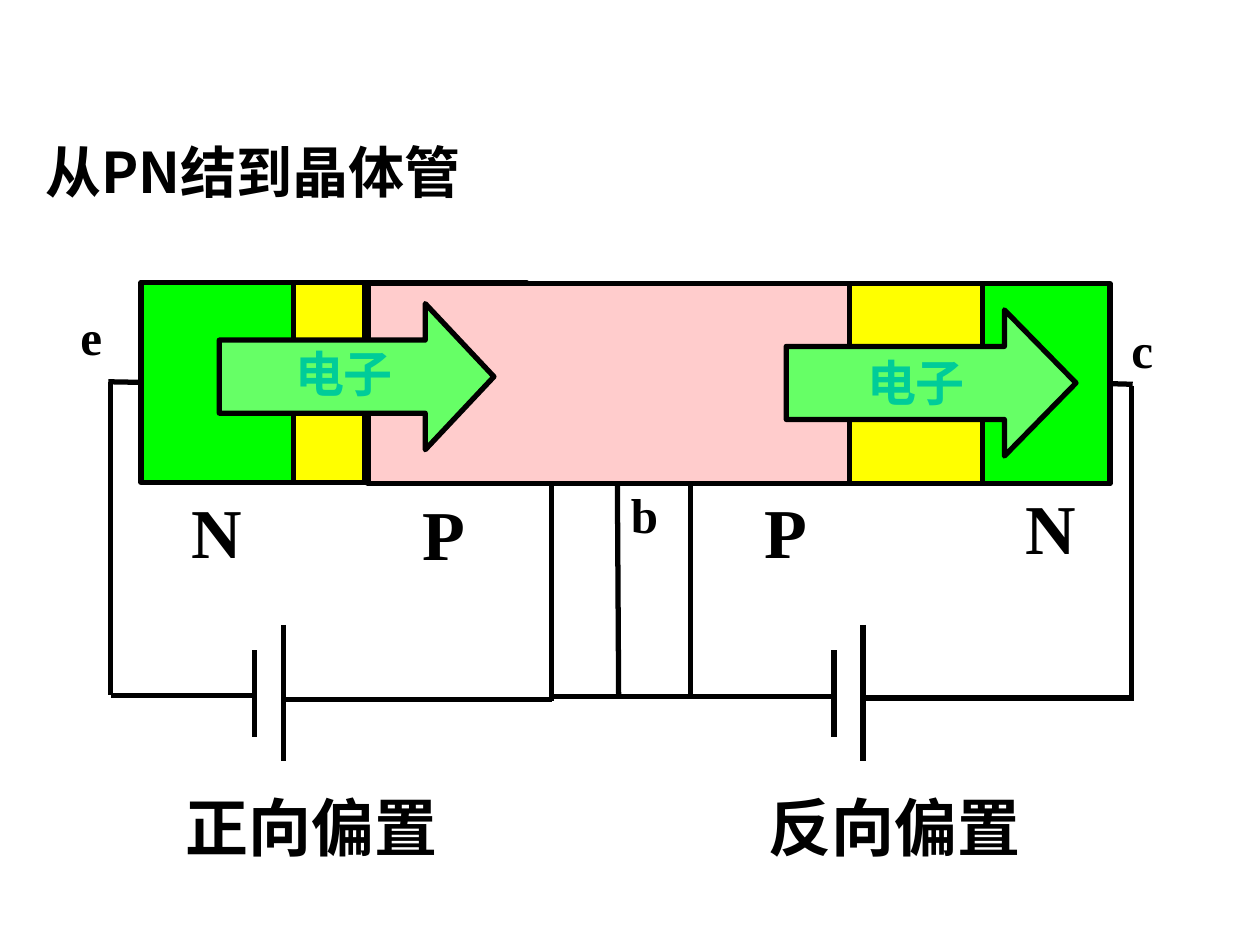
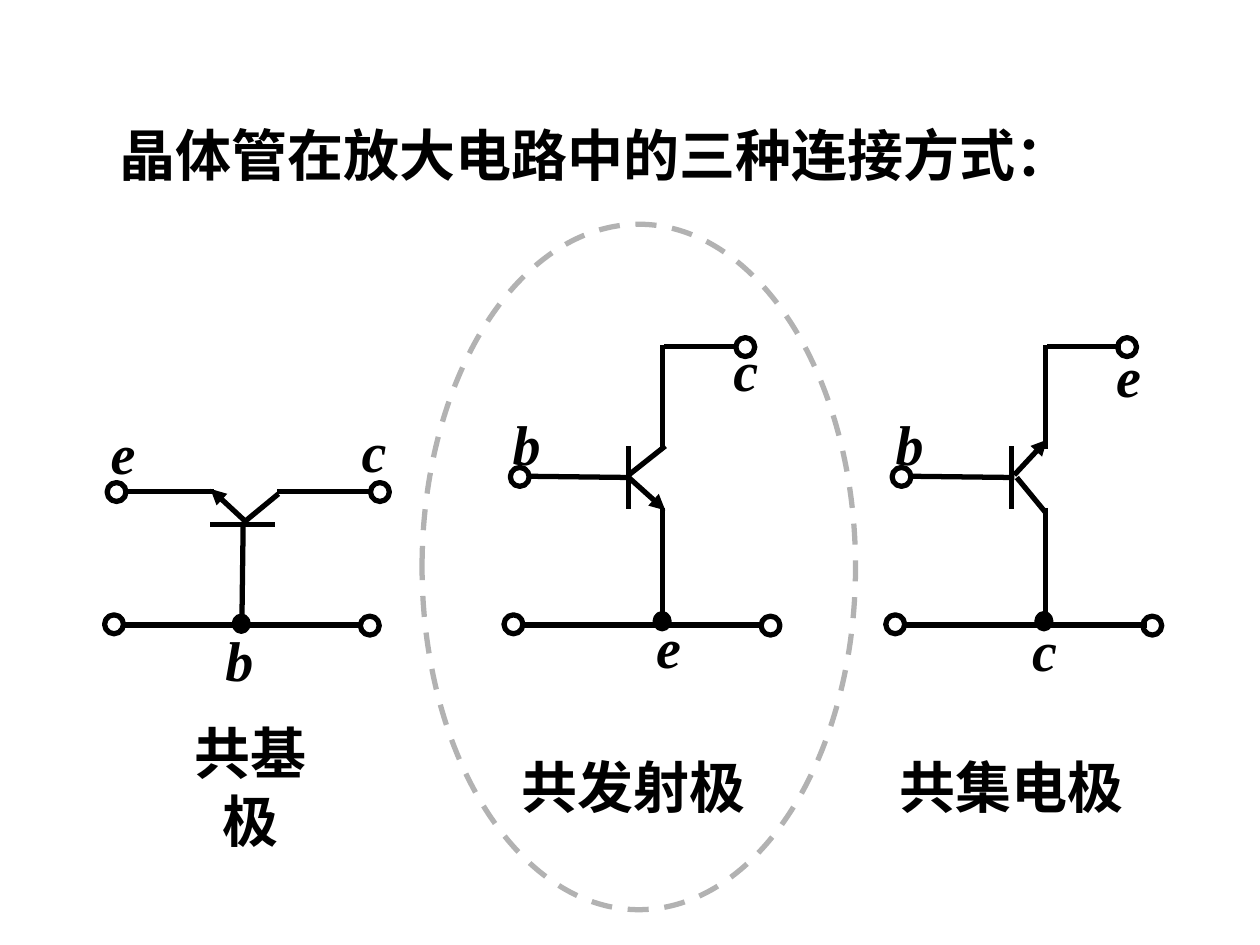
"""Two slides on the transistor: from PN junction to transistor, and its three connections."""
from lxml import etree
from pptx import Presentation
from pptx import util as u
from pptx.dml.color import RGBColor
from pptx.enum import dml, shapes, text
from pptx.oxml import ns

COLORS = {"ink": "000000", "n_region": "00FF00", "depletion": "FFFF00", "p_region": "FFCCCC",
          "flow": "66FF66", "electron": "00CC99", "highlight": "B2B2B2"}
LATIN, HAN = "Times New Roman", "Noto Sans CJK SC"
STROKE = u.Pt(3)
RECT, OVAL, ARROW = (shapes.MSO_SHAPE.RECTANGLE, shapes.MSO_SHAPE.OVAL,
                     shapes.MSO_SHAPE.RIGHT_ARROW)


def add_part(slide, kind, left, top, width, height, fill=None, line="ink"):
    part = slide.shapes.add_shape(kind, *map(u.Inches, (left, top, width, height)))
    part.shadow.inherit = False
    if fill:
        part.fill.solid()
        part.fill.fore_color.rgb = RGBColor.from_string(COLORS[fill])
    else:
        part.fill.background()
    part.line.color.rgb = RGBColor.from_string(COLORS[line])
    part.line.width = STROKE
    return part


def add_wire(slide, x1, y1, x2, y2, arrow=False):
    wire = slide.shapes.add_connector(shapes.MSO_CONNECTOR.STRAIGHT,
                                      *map(u.Inches, (x1, y1, x2, y2)))
    wire.line.color.rgb = RGBColor.from_string(COLORS["ink"])
    wire.line.width = STROKE
    if arrow:
        etree.SubElement(wire.line._get_or_add_ln(), ns.qn("a:tailEnd"), type="triangle")
    etree.SubElement(wire._element.spPr, ns.qn("a:effectLst"))
    return wire


prs = Presentation()
prs.slide_width, prs.slide_height = u.Inches(10), u.Inches(7.5)
junction, connections = [prs.slides.add_slide(prs.slide_layouts[6]) for _ in range(2)]

emitter = add_part(junction, RECT, 1.12, 2.24, 1.23, 1.59, "n_region")
add_part(junction, RECT, 2.33, 2.24, 0.58, 1.59, "depletion")
collector = add_part(junction, RECT, 7.77, 2.25, 1.04, 1.59, "n_region")
add_part(junction, RECT, 6.72, 2.25, 1.08, 1.59, "depletion")
add_part(junction, RECT, 2.89, 2.24, 1.29, 1.59, "p_region")

add_wire(junction, 1.12, 3.03, 0.86, 3.03).begin_connect(emitter, 1)
add_wire(junction, 8.81, 3.05, 8.99, 3.05).begin_connect(collector, 3)
for wire_ends in [(0.88, 3.03, 0.88, 5.52), (0.88, 5.52, 2.03, 5.52),
                  (4.38, 5.55, 2.23, 5.55), (4.38, 3.06, 4.38, 5.56),
                  (8.98, 3.06, 8.98, 5.56), (8.98, 5.54, 6.83, 5.54),
                  (5.49, 5.53, 6.64, 5.53), (5.48, 3.02, 5.48, 5.51),
                  (4.4, 5.53, 5.55, 5.53), (4.9, 3.85, 4.91, 5.52)]:
    add_wire(junction, *wire_ends)
for battery_x in (2.02, 6.62):
    add_wire(junction, battery_x, 5.16, battery_x, 5.85)
    add_wire(junction, battery_x + 0.23, 4.96, battery_x + 0.23, 6.04)

add_part(junction, RECT, 2.92, 2.25, 3.82, 1.59, "p_region")
for left, top, width, head in [(6.24, 2.46, 2.3, 0.49), (1.74, 2.41, 2.18, 0.47)]:
    electron_flow = add_part(junction, ARROW, left, top, width, 1.16, "flow")
    electron_flow.adjustments[1] = head

common_base_wires = [(1.92, 4.95, 1.93, 4.15), (1.67, 4.16, 2.18, 4.16),
                     (2.21, 3.92, 1.93, 4.15), (1, 3.9, 1.7, 3.9),
                     (2.2, 3.9, 2.94, 3.9), (0.98, 4.96, 2.88, 4.96)]
for wire_ends in common_base_wires:
    add_wire(connections, *wire_ends)
add_wire(connections, 1.95, 4.14, 1.67, 3.88, arrow=True)

for dx in (0, 3.04):
    for x1, y1, x2, y2 in [(4.2, 3.78, 5.01, 3.79), (4.99, 3.54, 4.99, 4.04),
                           (5.26, 2.74, 5.26, 3.56), (5.26, 4.03, 5.26, 4.97),
                           (4.15, 4.96, 6.06, 4.96), (5.27, 2.75, 5.86, 2.75)]:
        add_wire(connections, x1 + dx, y1, x2 + dx, y2)
add_wire(connections, 4.99, 3.79, 5.28, 4.05, arrow=True)
add_wire(connections, 4.99, 3.77, 5.28, 3.54)
add_wire(connections, 8.05, 3.77, 8.31, 3.49, arrow=True)
add_wire(connections, 8.07, 3.79, 8.3, 4.07)

terminals = [(0.85, 3.83), (2.94, 3.83), (0.83, 4.88), (2.86, 4.89)]
for dx in (0, 3.03):
    terminals += [(x + dx, y) for x, y in [(4.05, 3.71), (5.84, 2.68), (4, 4.88), (6.04, 4.89)]]
for x, y in terminals:
    add_part(connections, OVAL, x, y, 0.15, 0.15)
for x, y in [(1.86, 4.89), (5.2, 4.87), (8.23, 4.87)]:
    add_part(connections, OVAL, x, y, 0.11, 0.12, "ink")
most_used = add_part(connections, OVAL, 3.35, 1.78, 3.44, 5.44, line="highlight")
most_used.line.dash_style = dml.MSO_LINE.DASH

labels = [(junction, "从PN结到晶体管", 0.26, 1.04, 4.03, 0.64, 32),
          (connections, "晶体管在放大电路中的三种连接方式：", 0.8, 0.91, 7.86, 0.64, 32)]
for words, x, y in [("N", 1.35, 3.83), ("P", 3.15, 3.84), ("P", 5.87, 3.83), ("N", 7.97, 3.8)]:
    labels.append((junction, words, x, y, 0.74, 0.77, 40))
for words, x in [("正向偏置", 1.27), ("反向偏置", 5.89)]:
    labels.append((junction, words, x, 6.21, 2.41, 0.7, 36))
for x, y in [(6.71, 2.75), (2.17, 2.68)]:
    labels.append((junction, "电子", x, y, 1.12, 0.57, 28))
for words, x, y in [("e", 0.39, 2.38), ("b", 4.78, 3.8), ("c", 8.73, 2.49)]:
    labels.append((junction, words, x, y, 0.67, 0.57, 28))
for words, x, width in [("共基极", 1.22, 1.53), ("共发射极", 4.04, 1.98), ("共集电极", 7.04, 1.98)]:
    labels.append((connections, words, x, 5.92, width, 0.64, 32))
electrode_widths = {"b": 0.42, "c": 0.4, "e": 0.32}
for words, x, y in [("b", 1.69, 4.91), ("e", 0.78, 3.27), ("c", 2.77, 3.25),
                    ("b", 3.97, 3.2), ("e", 5.11, 4.81), ("c", 5.72, 2.61),
                    ("b", 7.01, 3.2), ("e", 8.76, 2.66), ("c", 8.09, 4.83)]:
    labels.append((connections, words, x, y, electrode_widths[words], 0.64, 32))

for slide, words, left, top, width, height, size in labels:
    is_first_title = "PN" in words
    label = slide.shapes.add_textbox(*map(u.Inches, (left, top, width, height)))
    frame = label.text_frame
    frame.text = words
    frame.word_wrap = slide is junction or width > 2 or words == "e"
    frame.auto_size = text.MSO_AUTO_SIZE.SHAPE_TO_FIT_TEXT
    if is_first_title or (slide is connections and width < 2):
        frame.vertical_anchor = text.MSO_ANCHOR.MIDDLE
    paragraph = frame.paragraphs[0]
    paragraph.alignment = text.PP_ALIGN.LEFT if is_first_title else text.PP_ALIGN.CENTER
    run = paragraph.runs[0]
    run.font.size, run.font.bold = u.Pt(size), True
    run.font.italic = slide is connections and words in electrode_widths
    run.font.name = HAN if is_first_title else LATIN
    run.font.color.rgb = RGBColor.from_string(COLORS["electron" if words == "电子" else "ink"])
    etree.SubElement(run._r.get_or_add_rPr(), ns.qn("a:ea"), typeface=HAN)

prs.save("out.pptx")
